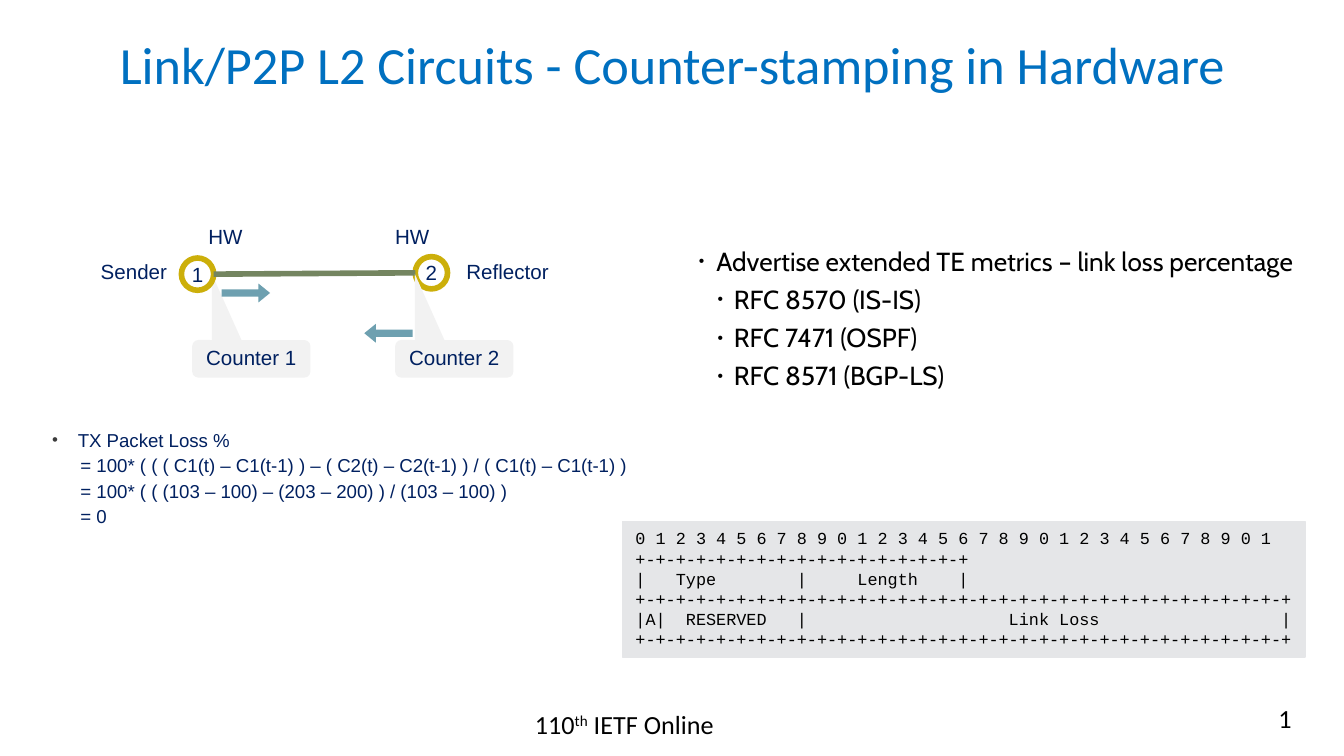
from dataclasses import dataclass
from pptx import Presentation
from pptx.dml.color import RGBColor
from pptx.enum.shapes import MSO_CONNECTOR, MSO_SHAPE
from pptx.enum.text import MSO_ANCHOR, PP_ALIGN
from pptx.oxml.ns import qn
from pptx.util import Emu, Pt
from lxml import etree

PX = 9144  # 100 px to the inch
WIDE = 1000
LEFT, MID, RIGHT = PP_ALIGN.LEFT, PP_ALIGN.CENTER, PP_ALIGN.RIGHT
TOP, CENTER = MSO_ANCHOR.TOP, MSO_ANCHOR.MIDDLE
RECT, OVAL, ARROW = MSO_SHAPE.RECTANGLE, MSO_SHAPE.OVAL, MSO_SHAPE.DOWN_ARROW
CALLOUT = MSO_SHAPE.ROUNDED_RECTANGULAR_CALLOUT
STRAIGHT = MSO_CONNECTOR.STRAIGHT

COLORS = {"title": "0070C0", "navy": "002060", "black": "000000",
          "bullet": "3B3B3B", "pale": "F2F2F2", "gold": "CCAF0A",
          "teal": "6EA0B0", "green": "748560", "gray": "E5E6E8"}


@dataclass
class Style:
    font: str
    size: int
    color: str
    align: PP_ALIGN = LEFT
    anchor: MSO_ANCHOR = TOP
    pad: tuple = (10, 5)
    wrap: bool = True
    space: object = None


@dataclass
class Para:
    text: str
    level: int = 0
    left: int = 0
    hang: int = 0
    before: float = 0
    bullet: tuple = ()  # colour name, size in percent


LABEL = Style("Arial", 11, "navy", pad=(8, 5), wrap=False)
NODE = Style("Arial", 11, "navy", MID, CENTER, (0, 0))
TAG = Style("Arial", 11, "navy", MID, CENTER, (9, 4), False, 0.9)
HEAD = Style("Calibri", 28, "title", MID, CENTER, space=0.8)
LOSS = Style("Arial", 10, "navy", space=Pt(13.6))
LIST = Style("Cabin", 14, "black", pad=(0, 5), space=0.95)
CODE = Style("Courier New", 9, "black")
FOOT = Style("Calibri", 14, "black", pad=(0, 5), space=0.95)
PAGE = Style("Calibri", 14, "black", align=RIGHT)


def px(*vals: int) -> list:
    return [Emu(v * PX) for v in vals]


def rgb(name: str) -> RGBColor:
    return RGBColor.from_string(COLORS[name])


def apply(item, form: dict) -> None:
    for key, val in form.items():
        setattr(item, key, val)


def add_run(para, text: str, style: Style):
    run = para.add_run()
    run.text = text
    apply(run.font, {"name": style.font, "size": Pt(style.size)})
    run.font.color.rgb = rgb(style.color)
    return run


def add_mark(props, color: str, size: int) -> None:
    tint = etree.SubElement(props, qn("a:buClr"))
    etree.SubElement(tint, qn("a:srgbClr"), val=COLORS[color])
    etree.SubElement(props, qn("a:buSzPct"), val=str(size * 1000))
    etree.SubElement(props, qn("a:buFont"), typeface="Arial")
    etree.SubElement(props, qn("a:buChar"), char="•")


def write(shape, style: Style, *paras: Para) -> None:
    frame = shape.text_frame
    side, edge = px(*style.pad)
    apply(frame, {"word_wrap": style.wrap, "vertical_anchor": style.anchor,
                  "margin_left": side, "margin_right": side,
                  "margin_top": edge, "margin_bottom": edge})
    for num, item in enumerate(paras):
        para = frame.add_paragraph() if num else frame.paragraphs[0]
        props = para._p.get_or_add_pPr()
        if item.left:
            props.set("marL", str(item.left * PX))
            props.set("indent", str(-item.hang * PX))
        if item.bullet:
            add_mark(props, *item.bullet)
        apply(para, {"level": item.level, "alignment": style.align,
                     "space_before": Pt(item.before)})
        if style.space:
            para.line_spacing = style.space
        if item.text:
            add_run(para, item.text, style)


def add_text(box: tuple, style: Style, *paras: Para):
    shape = slide.shapes.add_textbox(*px(*box))
    write(shape, style, *paras)
    return shape


def add_form(kind, box: tuple, fill: str = "", line: str = "",
             width: float = 3, adj: tuple = (), turn: int = 0):
    shape = slide.shapes.add_shape(kind, *px(*box))
    shape.shadow.inherit = False
    shape.rotation = turn
    for num, val in enumerate(adj):
        shape.adjustments[num] = val
    if fill:
        shape.fill.solid()
        shape.fill.fore_color.rgb = rgb(fill)
    else:
        shape.fill.background()
    if line:
        shape.line.color.rgb = rgb(line)
        shape.line.width = Pt(width)
    else:
        shape.line.fill.background()
    return shape


def add_tag(left: int, text: str) -> None:
    tag = add_form(CALLOUT, (left, 253, 88, 28), "pale",
                   adj=(-0.333, -2.252, 0.167))
    write(tag, TAG, Para(text))


def add_node(left: int, top: int, text: str) -> None:
    node = add_form(OVAL, (left, top, 24, 24), line="gold")
    write(node, NODE, Para(text))


def add_arrow(left: int, top: int, turn: int) -> None:
    add_form(ARROW, (left, top, 14, 36), "teal", adj=(0.392, 0.615), turn=turn)


def add_link(start: tuple, end: tuple) -> None:
    link = slide.shapes.add_connector(STRAIGHT, *px(*start, *end))
    link.line.color.rgb = rgb("green")
    link.line.width = Pt(3)
    etree.SubElement(link._element.spPr, qn("a:effectLst"))


# Slide in 16:9
deck = Presentation()
deck.slide_width = Emu(WIDE * PX)
deck.slide_height = Emu(WIDE * PX * 9 // 16)
slide = deck.slides.add_slide(deck.slide_layouts[5])

# Title
title = slide.shapes.title
apply(title, dict(zip(("left", "top", "width", "height"), px(0, 12, WIDE, 80))))
write(title, HEAD, Para("Link/P2P L2 Circuits - Counter-stamping in Hardware"))

# Loss formula
steps = ("= 100* ( ( ( C1(t) – C1(t-1) ) – ( C2(t) – C2(t-1) ) / ( C1(t) – C1(t-1) )",
         "= 100* ( ( (103 – 100) – (203 – 200) ) / (103 – 100) )",
         "= 0")
add_text((29, 312, 461, 115), LOSS,
         Para("TX Packet Loss %", left=19, hang=19, bullet=("bullet", 90)),
         *(Para(step, 1, 21) for step in steps))

# Circuit between sender and reflector
add_tag(143, "Counter 1")
add_node(309, 191, "2")
add_node(135, 192, "1")
add_arrow(176, 200, 270)
add_link((159, 204), (309, 203))
add_tag(294, "Counter 2")
for left, top, width, text in ((286, 162, 42, "HW"), (147, 162, 42, "HW"),
                               (67, 188, 66, "Sender"),
                               (339, 188, 78, "Reflector")):
    add_text((left, top, width, 29), LABEL, Para(text))
add_arrow(282, 230, 90)

# Metrics list
mark = ("black", 60)
specs = ("RFC 8570 (IS-IS)", "RFC 7471 (OSPF)", "RFC 8571 (BGP-LS)")
add_text((514, 179, 458, 129), LIST,
         Para("Advertise extended TE metrics – link loss percentage",
              left=19, hang=13, bullet=mark),
         *(Para(name, 1, 32, 12, 4.5, mark) for name in specs))

# Packet format
rule = "+-" * 32 + "+"
rows = ("0 1 2 3 4 5 6 7 8 9 0 1 2 3 4 5 6 7 8 9 0 1 2 3 4 5 6 7 8 9 0 1",
        "+-" * 16 + "+",
        "|   Type        |     Length    |",
        rule,
        "|A|  RESERVED   |                    Link Loss                  |",
        rule)
panel = add_form(RECT, (463, 388, 508, 101), "gray", "gray", 0.75)
write(panel, CODE, *(Para(row) for row in rows))

# Footer and page number
foot = add_text((392, 524, 175, 39), FOOT, Para("", left=6))
line = foot.text_frame.paragraphs[0]
add_run(line, "110", FOOT)
add_run(line, "th", FOOT).font._element.set("baseline", "30000")
add_run(line, " IETF Online", FOOT)
add_text((738, 518, 233, 39), PAGE, Para("1"))

deck.save("out.pptx")
